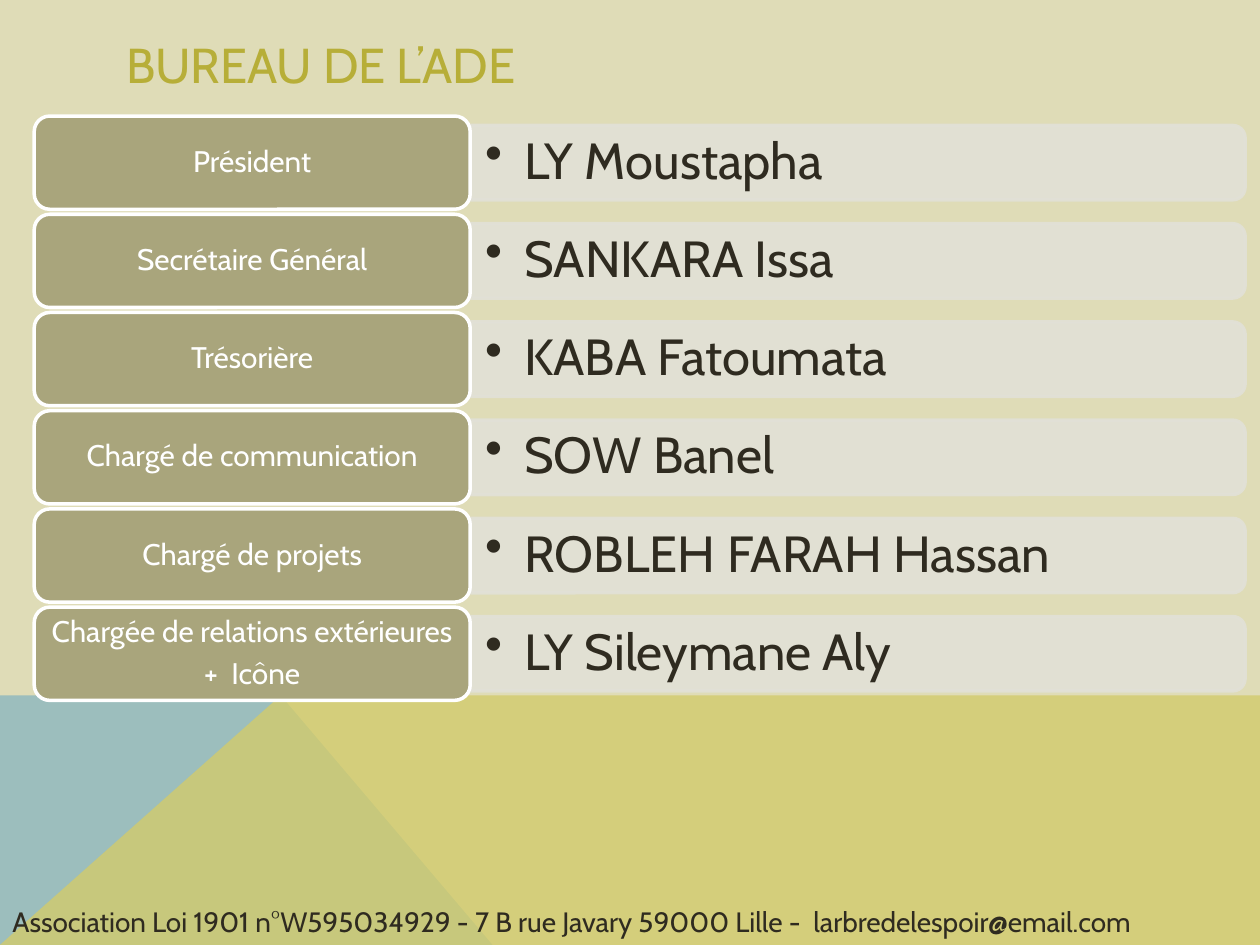
"""Build the slide that lists the members of the association's board."""
from dataclasses import dataclass

from lxml import etree
from pptx import Presentation
from pptx.dml.color import RGBColor
from pptx.enum.shapes import MSO_SHAPE
from pptx.enum.text import MSO_ANCHOR, PP_ALIGN
from pptx.oxml.ns import qn
from pptx.util import Cm, Pt

ROUND_RECT = MSO_SHAPE.ROUNDED_RECTANGLE
ROUND_TOP = MSO_SHAPE.ROUND_2_SAME_RECTANGLE
MIDDLE, TOP = MSO_ANCHOR.MIDDLE, MSO_ANCHOR.TOP
LEFT, CENTER = PP_ALIGN.LEFT, PP_ALIGN.CENTER

FONT = "Cabin"
COLORS = {
    "background": "DFDCB7",
    "blue": "9CBEBD",
    "yellow": "D2CB6C",
    "title": "B7AE38",
    "label": "A9A57C",
    "bar": "E2E1D7",
    "dark": "2F2B20",
    "white": "FFFFFF",
}
WIDTH, HEIGHT = 25.4, 19.05
HORIZON, PEAK = 14.02, 5.66
FIRST_ROW, PITCH = 2.34, 1.98
LABEL_LEFT, LABEL_W, LABEL_H = 0.69, 8.79, 1.88
BAR_W, BAR_H = 15.62, 1.5
NAME_W, NAME_H = 15.54, 1.37


@dataclass(frozen=True)
class Member:
    role: str
    name: str


MEMBERS = [
    Member("Président", "LY Moustapha"),
    Member("Secrétaire Général", "SANKARA Issa"),
    Member("Trésorière", "KABA Fatoumata"),
    Member("Chargé de communication", "SOW Banel"),
    Member("Chargé de projets", "ROBLEH FARAH Hassan"),
    Member("Chargée de relations extérieures\n+  Icône", "LY Sileymane Aly"),
]


def rgb(name: str) -> RGBColor:
    """Return the named colour."""
    return RGBColor.from_string(COLORS[name])


def set_alpha(fill_parent, percent: int) -> None:
    """Make the solid fill directly under an element partly transparent."""
    color = fill_parent.find(qn("a:solidFill"))[0]
    etree.SubElement(color, qn("a:alpha"), val=str(percent * 1000))


def paint(shape, fill: str, line: str = "", alpha: int = 100) -> None:
    """Set the fill, outline and opacity of a shape."""
    shape.shadow.inherit = False
    shape.fill.solid()
    shape.fill.fore_color.rgb = rgb(fill)
    if line:
        shape.line.color.rgb = rgb(line)
        shape.line.width = Pt(2)
    else:
        shape.line.fill.background()
    if alpha < 100:
        set_alpha(shape._element.spPr, alpha)
        if line:
            set_alpha(shape.line._ln, alpha)


def write(shape, text: str, *, size: float, color: str, align=LEFT, anchor=MIDDLE,
          margins: tuple[float, float] = (0.25, 0.13), spacing: float = 1,
          after: float = 0, bullet: bool = False) -> None:
    """Write formatted text, one paragraph per line."""
    tf = shape.text_frame
    tf.word_wrap = True
    tf.vertical_anchor = anchor
    tf.margin_left = tf.margin_right = Cm(margins[0])
    tf.margin_top = tf.margin_bottom = Cm(margins[1])
    tf.text = text
    for p in tf.paragraphs:
        p.alignment = align
        p.line_spacing = spacing
        p.space_before, p.space_after = Pt(0), Pt(after)
        r = p.runs[0]
        r.font.name, r.font.size = FONT, Pt(size)
        r.font.color.rgb = rgb(color)
        if bullet:
            p.level = 1
            pPr = p._p.get_or_add_pPr()
            pPr.set("marL", str(Cm(0.79)))
            pPr.set("indent", str(-Cm(0.79)))
            etree.SubElement(pPr, qn("a:buChar"), char="•")


def add_area(s, points: list[tuple[float, float]], fill: str, alpha: int = 100) -> None:
    """Draw a closed polygon."""
    first, *rest = [(Cm(x), Cm(y)) for x, y in points]
    builder = s.shapes.build_freeform(*first)
    builder.add_line_segments(rest)
    paint(builder.convert_to_shape(), fill, alpha=alpha)


def add_member(s, member: Member, top: float) -> None:
    """Draw one row: a name on its bar beside the role label."""
    middle = top + LABEL_H / 2
    right = LABEL_LEFT + LABEL_W
    bar = s.shapes.add_shape(
        ROUND_TOP, Cm(right + (BAR_W - BAR_H) / 2), Cm(middle - BAR_W / 2),
        Cm(BAR_H), Cm(BAR_W))
    bar.rotation = 90
    paint(bar, "bar", "bar", alpha=90)
    name = s.shapes.add_textbox(
        Cm(right), Cm(middle - NAME_H / 2), Cm(NAME_W), Cm(NAME_H))
    write(name, member.name, size=29, color="dark", margins=(0.3, 0.15),
          spacing=0.9, bullet=True)
    label = s.shapes.add_shape(
        ROUND_RECT, Cm(LABEL_LEFT), Cm(top), Cm(LABEL_W), Cm(LABEL_H))
    paint(label, "label", "white")
    write(label, member.role, size=17, color="white", align=CENTER,
          margins=(0.18, 0.1), spacing=0.9, after=6)


def main() -> None:
    """Build and save the presentation."""
    prs = Presentation()
    prs.slide_width, prs.slide_height = Cm(WIDTH), Cm(HEIGHT)
    s = prs.slides.add_slide(prs.slide_layouts[5])
    s.background.fill.solid()
    s.background.fill.fore_color.rgb = rgb("background")

    add_area(s, [(0, HEIGHT), (0, HORIZON), (PEAK, HORIZON), (9.93, HEIGHT)], "blue")
    add_area(s, [(0, HEIGHT), (PEAK, HORIZON), (WIDTH, HORIZON), (WIDTH, HEIGHT)],
             "yellow", alpha=80)

    title = s.shapes.title
    title.left, title.top, title.width, title.height = Cm(2.29), Cm(0.53), Cm(20.88), Cm(1.52)
    write(title, "BUREAU DE L’ADE", size=28, color="title", after=6)

    for i, member in enumerate(MEMBERS):
        add_member(s, member, FIRST_ROW + i * PITCH)

    footer = s.shapes.add_textbox(Cm(0), Cm(18.11), Cm(WIDTH), Cm(0.94))
    write(footer, "Association Loi 1901 n°W595034929 - 7 B rue Javary 59000 Lille -  "
          "larbredelespoir@email.com", size=16, color="dark", anchor=TOP)
    prs.save("out.pptx")


if __name__ == "__main__":
    main()
